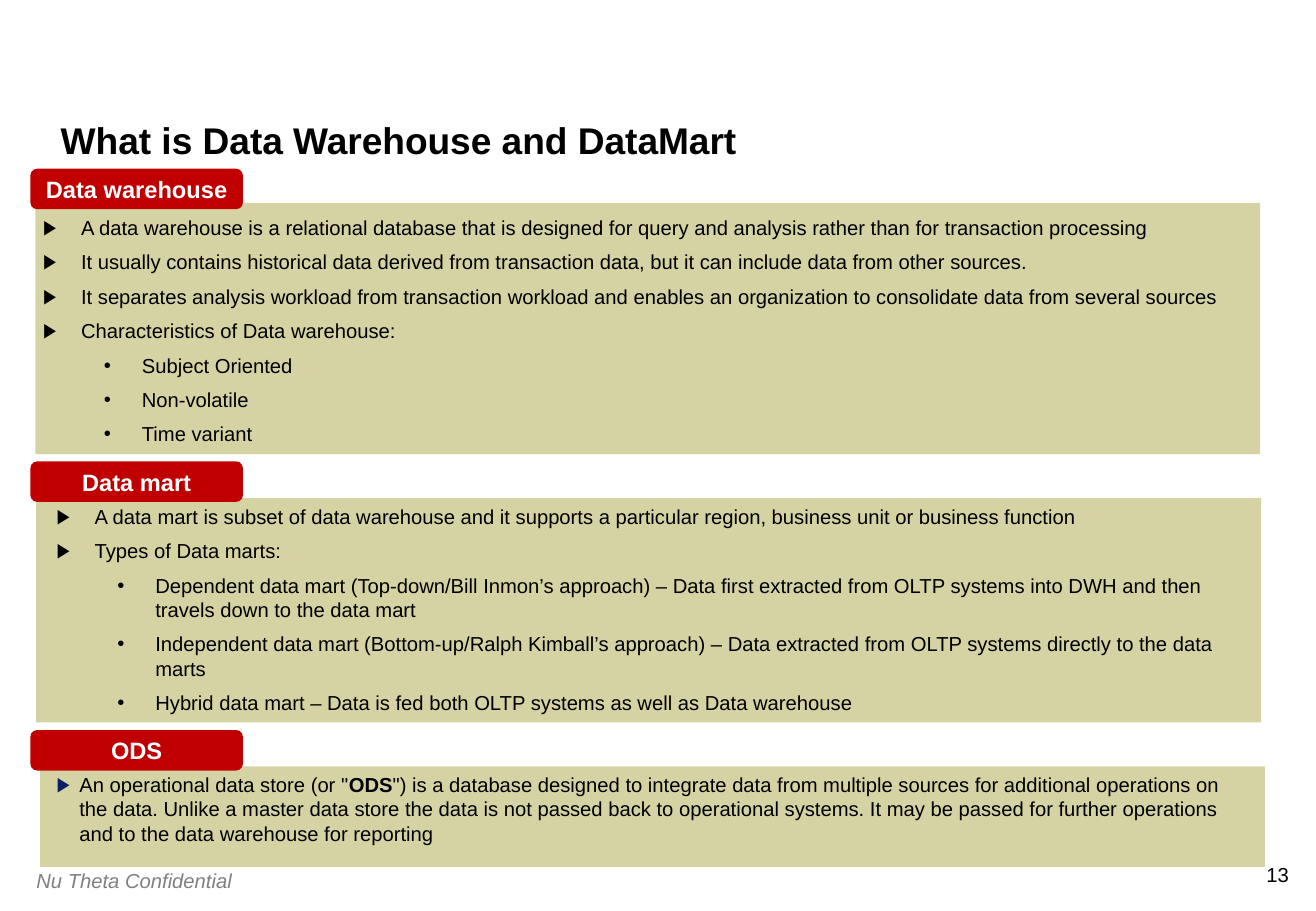
from lxml.etree import SubElement
from pptx import Presentation
from pptx.dml.color import RGBColor
from pptx.enum.shapes import MSO_SHAPE as Shape
from pptx.enum.text import MSO_ANCHOR as Anchor, PP_ALIGN as Align
from pptx.oxml.ns import qn
from pptx.util import Pt

BLACK = RGBColor(0x00, 0x00, 0x00)
WHITE = RGBColor(0xFF, 0xFF, 0xFF)
GRAY = RGBColor(0x80, 0x80, 0x80)
RED = RGBColor(0xC0, 0x00, 0x00)
KHAKI = RGBColor(0xD5, 0xD3, 0xA3)
NAVY = RGBColor(0x0B, 0x1F, 0x65)

TITLE = "What is Data Warehouse and DataMart"
FOOTER = "Nu Theta Confidential"
PAGE_NUMBER = "13"

SECTIONS = [
    {
        "label": "Data warehouse", "label_top": 100,
        "panel": (21, 120.25, 726, 149), "text": (18.5, 124, 719.5, 145.5),
        "hang": 22.5, "bullet_color": BLACK,
        "bullets": [
            (0, ["A data warehouse is a relational database that is designed for query and analysis rather than for transaction processing"]),
            (0, ["It usually contains historical data derived from transaction data, but it can include data from other sources."]),
            (0, ["It separates analysis workload from transaction workload and enables an organization to consolidate data from several sources"]),
            (0, ["Characteristics of Data warehouse:"]),
            (1, ["Subject Oriented"]),
            (1, ["Non-volatile"]),
            (1, ["Time variant"]),
        ],
    },
    {
        "label": "Data mart", "label_top": 273.5,
        "panel": (21.5, 295.25, 726, 133), "text": (26.5, 295.25, 719.5, 133),
        "hang": 22.5, "bullet_color": BLACK,
        "bullets": [
            (0, ["A data mart is subset of data warehouse and it supports a particular region, business unit or business function"]),
            (0, ["Types of Data marts:"]),
            (1, ["Dependent data mart (Top-down/Bill Inmon’s approach) – Data first extracted from OLTP systems into DWH and then travels down to the data mart"]),
            (1, ["Independent data mart (Bottom-up/Ralph Kimball’s approach) – Data extracted from OLTP systems directly to the data marts"]),
            (1, ["Hybrid data mart – Data is fed both OLTP systems as well as Data warehouse"]),
        ],
    },
    {
        "label": "ODS", "label_top": 432.75,
        "panel": (23.75, 454.25, 726, 59.75), "text": (26.5, 454.25, 711.5, 51),
        "hang": 13.5, "bullet_color": NAVY,
        "bullets": [
            (0, [
                'An operational data store (or "',
                "ODS",
                '") is a database designed to integrate data from multiple sources for additional operations on the data. Unlike a master data store the data is not passed back to operational systems. It may be passed for further operations and to the data warehouse for reporting',
            ]),
        ],
    },
]

LABEL_LEFT, LABEL_WIDTH, LABEL_HEIGHT = 18, 126, 24
LEVEL_STEP = 36
BULLET_MARKS = ["▶", "•"]


def style(font, size, color, bold=False, italic=False):
    font.name, font.size = "Arial", Pt(size)
    font.bold, font.italic = bold, italic
    font.color.rgb = color


def set_margins(frame, margin):
    frame.margin_left = frame.margin_right = Pt(margin)
    frame.margin_top = frame.margin_bottom = Pt(margin)


def add_text(page, place, wrap=True):
    box = page.shapes.add_textbox(*map(Pt, place))
    box.text_frame.word_wrap = wrap
    return box.text_frame


def add_block(page, kind, place, color):
    block = page.shapes.add_shape(kind, *map(Pt, place))
    block.shadow.inherit = False
    block.fill.solid()
    block.fill.fore_color.rgb = color
    block.line.fill.background()
    return block


def add_bullet(para, level, hang, color):
    para.level = level
    props = para._p.get_or_add_pPr()
    props.set("marL", str(Pt(hang + level * LEVEL_STEP)))
    props.set("indent", str(-Pt(hang)))
    SubElement(SubElement(props, qn("a:buClr")), qn("a:srgbClr"), val=str(color))
    SubElement(props, qn("a:buFont"), typeface="Arial")
    SubElement(props, qn("a:buChar"), char=BULLET_MARKS[level])


def add_section(page, section):
    add_block(page, Shape.RECTANGLE, section["panel"], KHAKI)
    frame = add_text(page, section["text"])
    for index, (level, spans) in enumerate(section["bullets"]):
        para = frame.add_paragraph() if index else frame.paragraphs[0]
        add_bullet(para, level, section["hang"], section["bullet_color"])
        if index:
            para.space_before = Pt(6)
        for position, text in enumerate(spans):
            span = para.add_run()
            span.text = text
            style(span.font, 12, BLACK, bold=position % 2 == 1)

    place = (LABEL_LEFT, section["label_top"], LABEL_WIDTH, LABEL_HEIGHT)
    frame = add_block(page, Shape.ROUNDED_RECTANGLE, place, RED).text_frame
    frame.text = section["label"]
    frame.word_wrap = False
    frame.vertical_anchor = Anchor.MIDDLE
    set_margins(frame, 3.6)
    para = frame.paragraphs[0]
    para.alignment = Align.CENTER
    style(para.runs[0].font, 14, WHITE, bold=True)


def main():
    deck = Presentation()
    deck.slide_width, deck.slide_height = Pt(780), Pt(540)
    page = deck.slides.add_slide(deck.slide_layouts[6])

    number = add_text(page, (749, 511, 15, 14.5), wrap=False)
    number.text = PAGE_NUMBER
    set_margins(number, 0)
    number.paragraphs[0].alignment = Align.RIGHT
    style(number.paragraphs[0].runs[0].font, 12, BLACK)

    footer = add_text(page, (14.5, 511, 144, 21.5))
    footer.text = FOOTER
    style(footer.paragraphs[0].runs[0].font, 12, GRAY, italic=True)

    title = add_text(page, (36, 30, 708, 66.5))
    title.text = TITLE
    title.vertical_anchor = Anchor.BOTTOM
    set_margins(title, 0)
    title.paragraphs[0].line_spacing = 0.9
    style(title.paragraphs[0].runs[0].font, 22, BLACK, bold=True)

    for section in SECTIONS:
        add_section(page, section)
    deck.save("out.pptx")


if __name__ == "__main__":
    main()
